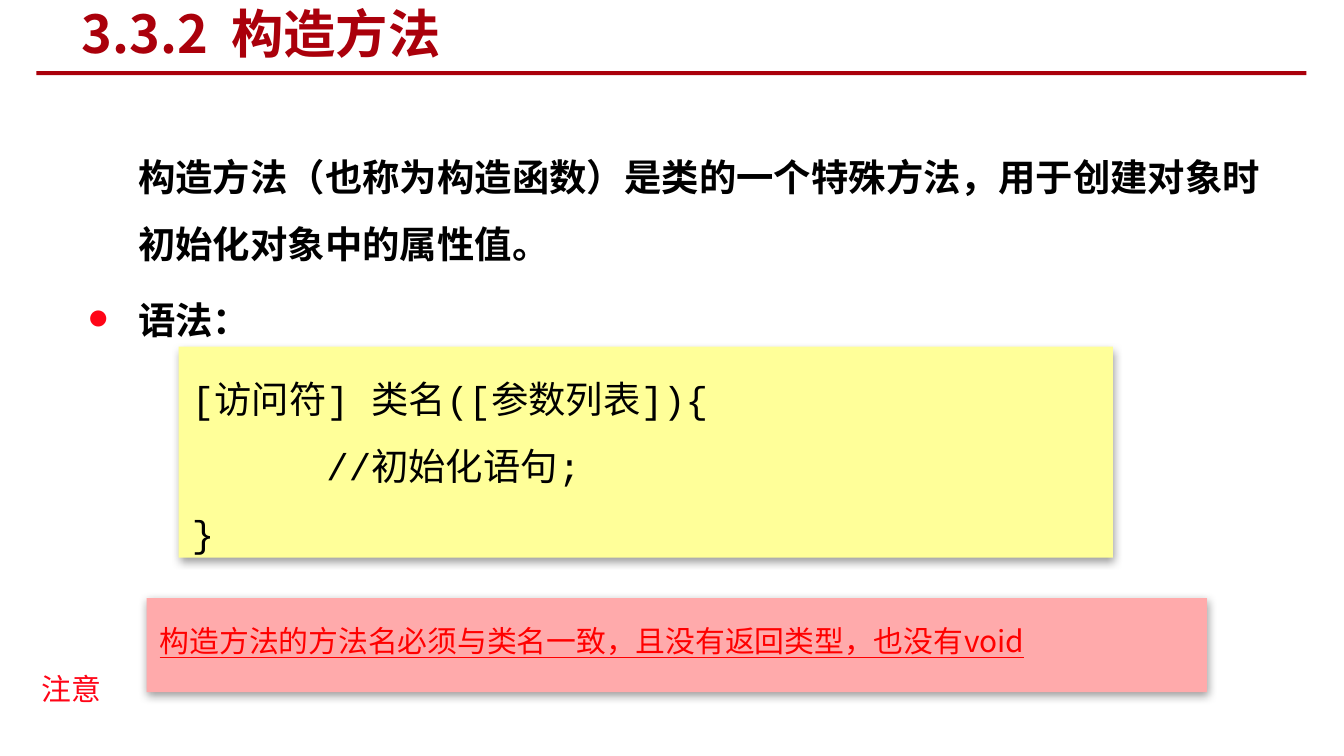
"""Build the slide on constructor methods."""
from lxml.etree import SubElement
from pptx import Presentation
from pptx.dml.color import RGBColor
from pptx.enum.shapes import MSO_SHAPE as Preset
from pptx.enum.text import MSO_ANCHOR as Anchor
from pptx.oxml.ns import qn
from pptx.util import Inches, Pt

DARK_RED = RGBColor(0xAA, 0x00, 0x0B)
BULLET_RED = RGBColor(0xFF, 0x05, 0x17)
RED = RGBColor(0xFF, 0x00, 0x00)
PINK = RGBColor(0xFF, 0xAA, 0xAB)
YELLOW = RGBColor(0xFF, 0xFF, 0x99)
BLACK = RGBColor(0x00, 0x00, 0x00)
SANS, MONO = "Noto Sans CJK SC", "Courier New"
WIDE_SPACE = "630"

RULE = (0.27, 0.53, 9.45, 0.03)
TITLE = dict(
    at=(0.51, 0.02, 5.3, 0.45), lines=[dict(spans=["3.3.2", " ", "构造方法"])],
    size=28, color=DARK_RED, bold=True, anchor=Anchor.MIDDLE)
BODY = dict(
    at=(0.55, 0.94, 8.98, 2.58),
    lines=[
        dict(spans=["构造方法（也称为构造函数）是类的一个特殊方法，用于创建对象时初始化对象中的属性值。"],
             margin=0.38),
        dict(spans=["语法："], margin=0.38, bullet="●")],
    size=20, color=BLACK, bold=True, leading=35.6, before=5)
NOTICE = dict(
    at=(1.09, 4.45, 7.89, 0.7),
    lines=[dict(spans=["构造方法的方法名必须与类名一致，且没有返回类型，也没有void"])],
    size=16, color=RED, underline=True, leading=29, fill=PINK)
SYNTAX = dict(
    at=(1.33, 2.58, 6.95, 1.57),
    lines=[dict(spans=["[访问符] 类名([参数列表]){"]),
           dict(spans=["//初始化语句;"], margin=1),
           dict(spans=["}"])],
    size=20, color=BLACK, font=MONO, leading=36, fill=YELLOW)
LABEL = dict(
    at=(0.21, 4.94, 0.65, 0.37), lines=[dict(spans=["注意"])],
    size=16, color=BULLET_RED, wrap=False)


def add_panel(page, at, fill):
    panel = page.shapes.add_shape(Preset.RECTANGLE, *map(Inches, at))
    panel.shadow.inherit = False
    panel.fill.solid()
    panel.fill.fore_color.rgb = fill
    panel.line.fill.background()
    return panel


def add_shadow(panel):
    effects = panel.element.spPr.find(qn("a:effectLst"))
    shadow = SubElement(effects, qn("a:outerShdw"), blurRad=str(Pt(5)),
                        dist=str(Pt(1.6)), dir="5400000", rotWithShape="0")
    color = SubElement(shadow, qn("a:srgbClr"), val=str(BLACK))
    SubElement(color, qn("a:alpha"), val="38000")


def format_paragraph(para, margin=0, bullet=None):
    props = para._p.get_or_add_pPr()
    props.set("algn", "l")
    props.set("marL", str(Inches(margin)))
    props.set("indent", str(-Inches(margin) if bullet else 0))
    if bullet:
        color = SubElement(props, qn("a:buClr"))
        SubElement(color, qn("a:srgbClr"), val=str(BULLET_RED))
        SubElement(props, qn("a:buFont"), typeface=MONO)
        SubElement(props, qn("a:buChar"), char=bullet)


def add_text(page, at, lines, size, color, font=SANS, bold=False,
             underline=False, leading=None, before=0, fill=None,
             anchor=Anchor.TOP, wrap=True):
    if fill:
        box = add_panel(page, at, fill)
        add_shadow(box)
    else:
        box = page.shapes.add_textbox(*map(Inches, at))
    frame = box.text_frame
    frame.word_wrap = wrap
    frame.vertical_anchor = anchor
    for index, line in enumerate(lines):
        para = frame.add_paragraph() if index else frame.paragraphs[0]
        format_paragraph(para, line.get("margin", 0), line.get("bullet"))
        if leading:
            para.line_spacing = Pt(leading)
        if index and before:
            para.space_before = Pt(before)
        for text in line["spans"]:
            span = para.add_run()
            span.text = text
            span.font.size = Pt(size)
            span.font.bold = bold
            span.font.underline = underline
            span.font.color.rgb = color
            span.font.name = font
            props = span._r.get_or_add_rPr()
            SubElement(props, qn("a:ea"), typeface=SANS)
            if text == " ":
                props.set("spc", WIDE_SPACE)


def main():
    deck = Presentation()
    deck.slide_width = Inches(10)
    deck.slide_height = deck.slide_width * 9 // 16
    page = deck.slides.add_slide(deck.slide_layouts[6])
    add_panel(page, RULE, DARK_RED)
    for block in (BODY, TITLE, NOTICE, SYNTAX, LABEL):
        add_text(page, **block)
    deck.save("out.pptx")


if __name__ == "__main__":
    main()
